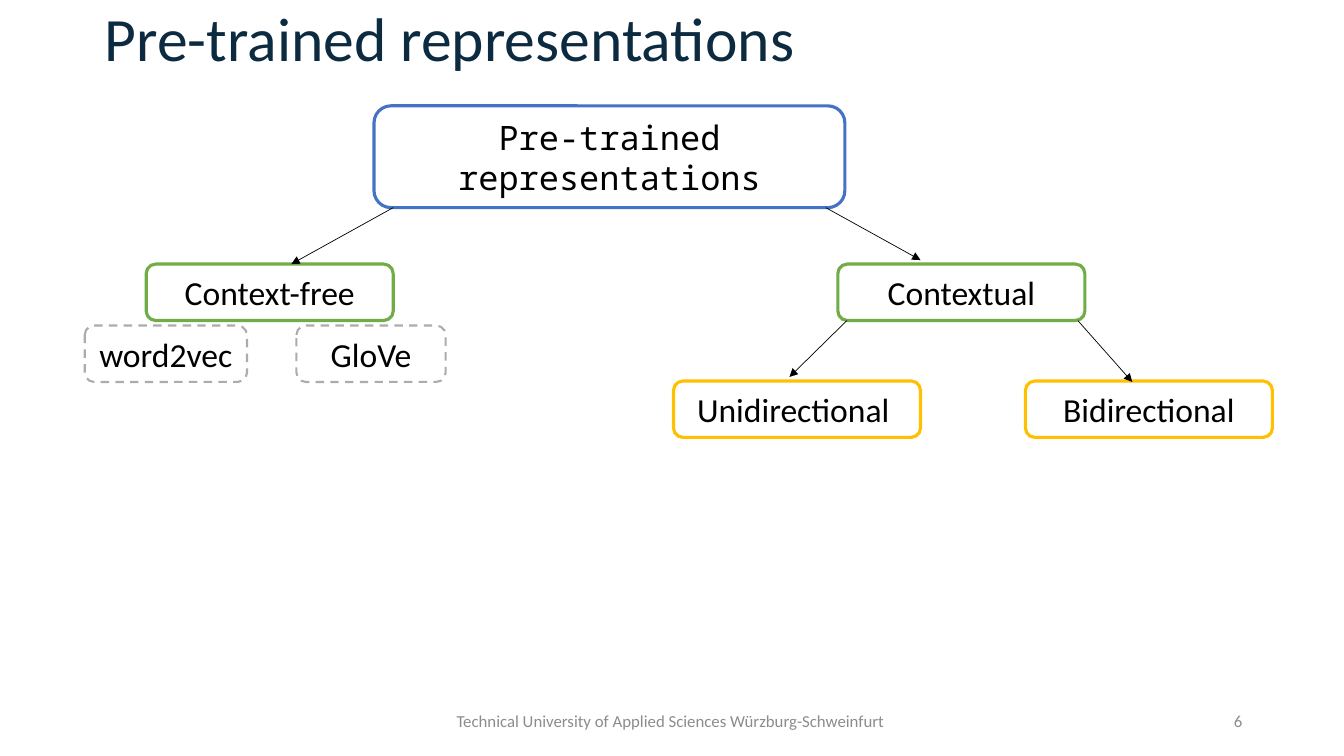
from dataclasses import dataclass

from lxml import etree
from pptx import Presentation
from pptx import util as u
from pptx.dml.color import RGBColor
from pptx.enum import dml, shapes, text
from pptx.oxml import ns


@dataclass(frozen=True)
class Theme:
    body_font: str = "Calibri"
    mono_font: str = "Noto Sans Mono"
    title_size: int = 44
    node_size: int = 24
    footer_size: int = 12
    title: str = "0D2B40"
    footer: str = "8C8C8C"
    ink: str = "000000"
    paper: str = "FFFFFF"
    root: str = "4472C4"
    family: str = "70AD47"
    direction: str = "FFC000"
    example: str = "AFABAB"


THEME = Theme()


def color(value):
    return RGBColor.from_string(value)


def write(shape, words, size, ink, align, font=THEME.body_font):
    frame = shape.text_frame
    frame.text = words
    frame.word_wrap = True
    frame.vertical_anchor = text.MSO_ANCHOR.MIDDLE
    para = frame.paragraphs[0]
    para.alignment = align
    span = para.runs[0]
    span.font.name = font
    span.font.size = u.Pt(size)
    span.font.color.rgb = color(ink)


def add_title(slide, words, left, top, width, height):
    title = slide.shapes.title
    title.left, title.top = u.Inches(left), u.Inches(top)
    title.width, title.height = u.Inches(width), u.Inches(height)
    write(title, words, THEME.title_size, THEME.title, text.PP_ALIGN.LEFT)
    frame = title.text_frame
    frame.auto_size = text.MSO_AUTO_SIZE.NONE
    frame.margin_left = u.Inches(1.04)
    frame.paragraphs[0].line_spacing = 0.9


def add_footer(slide, left, top, width, height):
    parts = (
        ("Technical University of Applied Sciences Würzburg-Schweinfurt ",
         left, 4.5, text.PP_ALIGN.CENTER),
        ("6", left + width - 3, 3, text.PP_ALIGN.RIGHT),
    )
    for words, x, part_width, align in parts:
        box = slide.shapes.add_textbox(
            u.Inches(x), u.Inches(top), u.Inches(part_width), u.Inches(height))
        write(box, words, THEME.footer_size, THEME.footer, align)


def add_node(slide, words, left, top, width, height, outline,
             font=THEME.body_font, dashed=False):
    node = slide.shapes.add_shape(
        shapes.MSO_SHAPE.ROUNDED_RECTANGLE,
        u.Inches(left), u.Inches(top), u.Inches(width), u.Inches(height))
    node.shadow.inherit = False
    node.fill.solid()
    node.fill.fore_color.rgb = color(THEME.paper)
    node.line.color.rgb = color(outline)
    node.line.width = u.Pt(1.5 if dashed else 2.25)
    if dashed:
        node.line.dash_style = dml.MSO_LINE.DASH
    write(node, words, THEME.node_size, THEME.ink, text.PP_ALIGN.CENTER, font)


def add_arrow(slide, start, end):
    arrow = slide.shapes.add_connector(
        shapes.MSO_CONNECTOR.STRAIGHT, *map(u.Inches, start + end))
    arrow.line.color.rgb = color(THEME.ink)
    arrow.line.width = u.Pt(0.5)
    etree.SubElement(arrow.line._get_or_add_ln(), ns.qn("a:tailEnd"), type="triangle")
    etree.SubElement(arrow._element.spPr, ns.qn("a:effectLst"))


def add_tree(slide, left, top):
    node_width, node_height = 2.45, 0.56
    family_top, example_top, direction_top = top + 1.57, top + 2.18, top + 2.73
    root_bottom, family_bottom = top + 1.01, family_top + node_height

    add_node(slide, "Pre-trained representations", left + 2.87, top, 4.67, 1.01,
             THEME.root, THEME.mono_font)
    for words, x, y, outline in (
        ("Context-free", 0.61, family_top, THEME.family),
        ("Contextual", 7.47, family_top, THEME.family),
        ("Unidirectional ", 5.84, direction_top, THEME.direction),
        ("Bidirectional", 9.33, direction_top, THEME.direction),
    ):
        add_node(slide, words, left + x, y, node_width, node_height, outline)
    for words, x, width in (("word2vec", 0, 1.61), ("GloVe", 2.1, 1.48)):
        add_node(slide, words, left + x, example_top, width, node_height,
                 THEME.example, dashed=True)
    for start_x, start_y, end_x, end_y in (
        (3.06, root_bottom, 2.05, family_top),
        (7.35, root_bottom, 8.29, family_top - 0.04),
        (7.56, family_bottom, 6.99, direction_top - 0.04),
        (9.85, family_bottom, 10.39, direction_top + 0.01),
    ):
        add_arrow(slide, (left + start_x, start_y), (left + end_x, end_y))


def main():
    deck = Presentation()
    deck.slide_width, deck.slide_height = u.Inches(13.33), u.Inches(7.5)
    slide = deck.slides.add_slide(deck.slide_layouts[5])
    add_title(slide, "Pre-trained representations", 0, 0, 11.29, 0.83)
    add_footer(slide, 4.42, 6.95, 8, 0.4)
    add_tree(slide, 0.84, 1.05)
    deck.save("out.pptx")


if __name__ == "__main__":
    main()
